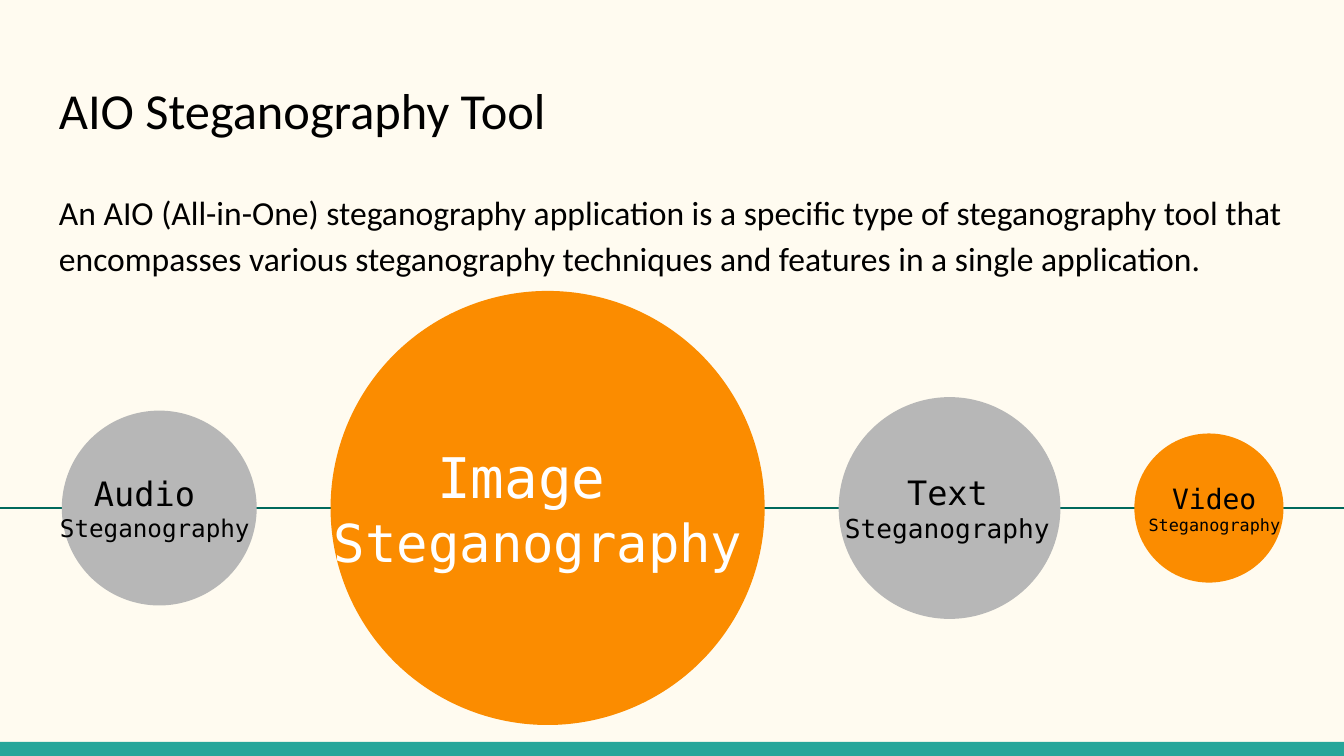
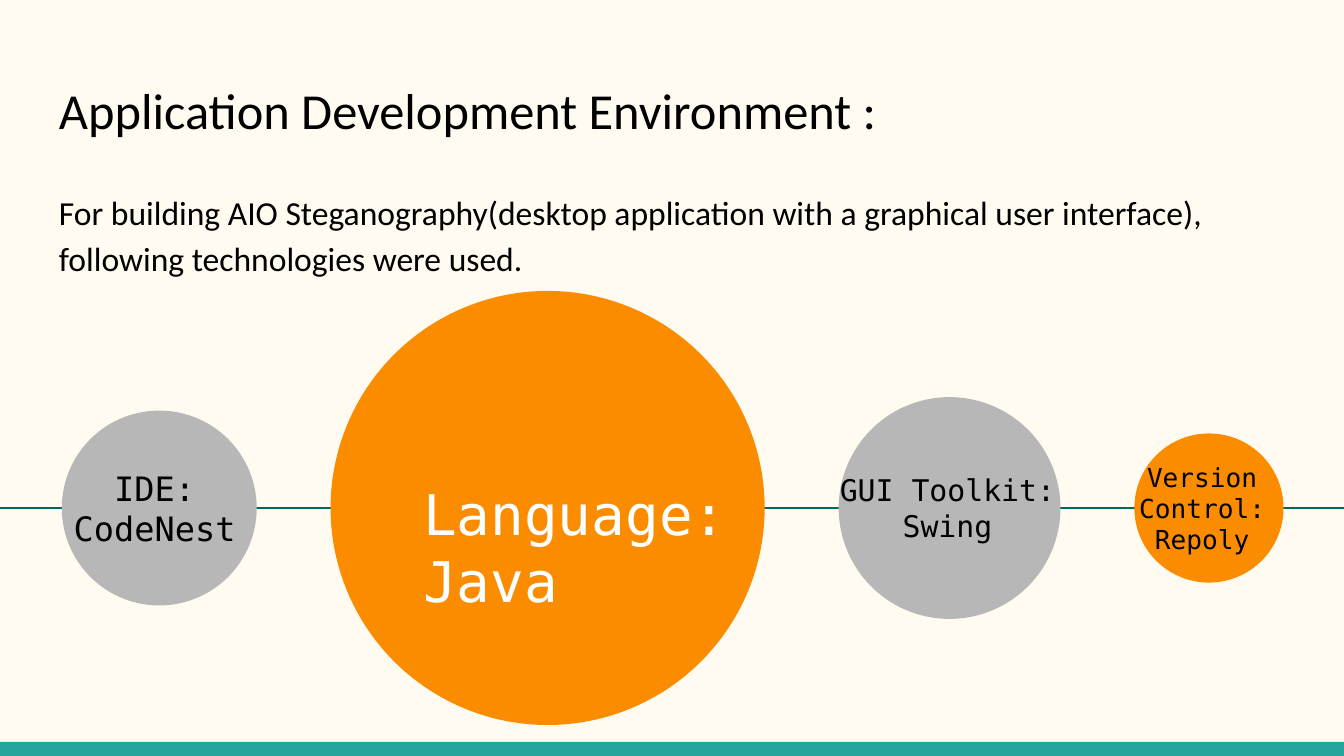
from lxml import etree
from pptx import Presentation
from pptx.dml.color import RGBColor
from pptx.enum.shapes import MSO_CONNECTOR, MSO_SHAPE
from pptx.enum.text import MSO_ANCHOR, PP_ALIGN
from pptx.oxml.ns import qn
from pptx.util import Emu, Pt

PX = 4572
WIDTH, HEIGHT = 2000, 1125
FOOTER_HEIGHT = 21
RECT, OVAL = MSO_SHAPE.RECTANGLE, MSO_SHAPE.OVAL
STRAIGHT = MSO_CONNECTOR.STRAIGHT
TOP, MIDDLE = MSO_ANCHOR.TOP, MSO_ANCHOR.MIDDLE
LEFT, CENTER = PP_ALIGN.LEFT, PP_ALIGN.CENTER

COLORS = {
    "paper": "FFFBF0",
    "footer": "26A69A",
    "axis": "00695C",
    "gray": "B7B7B7",
    "orange": "FB8C00",
    "black": "000000",
    "white": "FFFFFF",
}
SANS, MONO = "Calibri", "DejaVu Sans Mono"

AXIS_Y = 756
FIRST_CIRCLE_X, CIRCLE_GAP = 92, 110
CIRCLES = [
    (290, "gray", "black"),
    (646, "orange", "white"),
    (330, "gray", "black"),
    (222, "orange", "black"),
]

SLIDES = [
    {
        "title": "AIO Steganography Tool",
        "intro": "An AIO (All-in-One) steganography application is a specific type of "
                 "steganography tool that encompasses various steganography techniques "
                 "and features in a single application.",
        "labels": [
            ((38, 690, 384, 132), CENTER, [("Audio ", 18), ("Steganography", 13)]),
            ((464, 690, 674, 132), CENTER, [("Image ", 30), ("Steganography", 28)]),
            ((1190, 690, 440, 132), CENTER, [("Text", 18), ("Steganography", 14)]),
            ((1662, 690, 290, 132), CENTER, [("Video", 15), ("Steganography", 9)]),
        ],
    },
    {
        "title": "Application Development Environment :",
        "intro": "For building AIO Steganography(desktop application with a graphical "
                 "user interface), following technologies were used.",
        "labels": [
            ((38, 690, 384, 132), CENTER, [("IDE:", 18), ("CodeNest", 18)]),
            ((610, 602, 528, 422), LEFT, [("Language:", 30), ("Java", 30)]),
            ((1190, 690, 440, 132), CENTER, [("GUI Toolkit:", 16), ("Swing", 16)]),
            ((1624, 690, 330, 132), CENTER, [("Version Control:", 14), ("Repoly", 14)]),
        ],
    },
]


def px(*lengths):
    """Turn px lengths into EMU."""
    return [Emu(length * PX) for length in lengths]


class Deck:
    """Holds the presentation style and the current slide."""

    def __init__(self):
        self.prs = Presentation()
        self.prs.slide_width, self.prs.slide_height = px(WIDTH, HEIGHT)
        self.slide = None

    def color(self, name):
        return RGBColor.from_string(COLORS[name])

    def new_slide(self):
        self.slide = self.prs.slides.add_slide(self.prs.slide_layouts[6])
        background = self.slide.background.fill
        background.solid()
        background.fore_color.rgb = self.color("paper")
        self.shape(RECT, (0, HEIGHT - FOOTER_HEIGHT, WIDTH, FOOTER_HEIGHT), "footer")

    def shape(self, preset, box, fill):
        shape = self.slide.shapes.add_shape(preset, *px(*box))
        shape.shadow.inherit = False
        shape.fill.solid()
        shape.fill.fore_color.rgb = self.color(fill)
        shape.line.fill.background()

    def text(self, box, lines, font, color, align=LEFT, anchor=TOP, spacing=None):
        frame = self.slide.shapes.add_textbox(*px(*box)).text_frame
        frame.word_wrap = True
        frame.vertical_anchor = anchor
        (inset,) = px(20)
        frame.margin_left = frame.margin_right = inset
        frame.margin_top = frame.margin_bottom = inset
        for index, (words, size) in enumerate(lines):
            paragraph = frame.add_paragraph() if index else frame.paragraphs[0]
            paragraph.text = words
            paragraph.alignment = align
            paragraph.line_spacing = spacing
            paragraph.font.name = font
            paragraph.font.size = Pt(size)
            paragraph.font.color.rgb = self.color(color)

    def axis(self):
        axis = self.slide.shapes.add_connector(STRAIGHT, *px(0, AXIS_Y, WIDTH, AXIS_Y))
        axis.line.color.rgb = self.color("axis")
        axis.line.width = Pt(1.5)
        etree.SubElement(axis._element.spPr, qn("a:effectLst"))

    def circles(self, labels):
        left = FIRST_CIRCLE_X
        for (size, fill, ink), (box, align, lines) in zip(CIRCLES, labels):
            self.shape(OVAL, (left, AXIS_Y - size // 2, size, size), fill)
            self.text(box, lines, MONO, ink, align, MIDDLE)
            left += size + CIRCLE_GAP


def main():
    deck = Deck()
    for content in SLIDES:
        deck.new_slide()
        deck.text((68, 98, 1864, 134), [(content["title"], 27)], SANS, "black")
        deck.text((68, 256, 1864, 744), [(content["intro"], 18)], SANS, "black", spacing=1.15)
        deck.axis()
        deck.circles(content["labels"])
    deck.prs.save("out.pptx")


if __name__ == "__main__":
    main()
